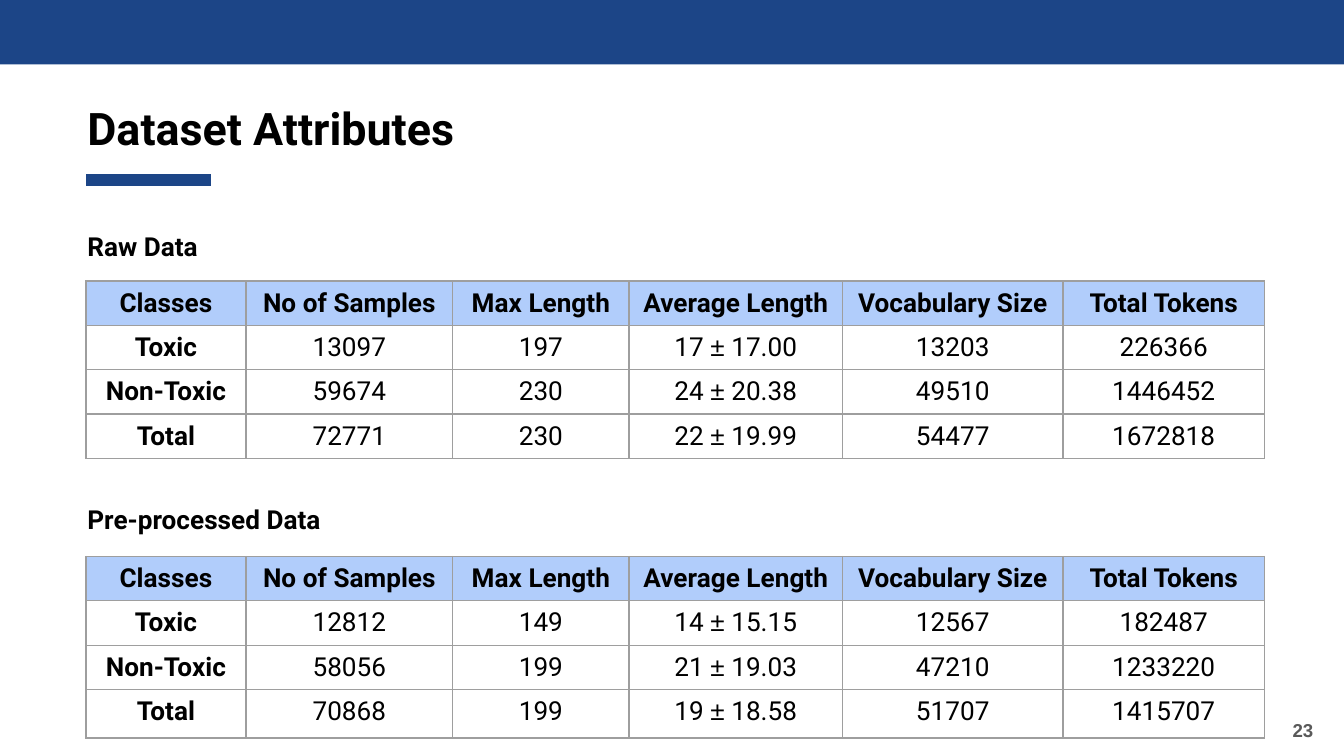
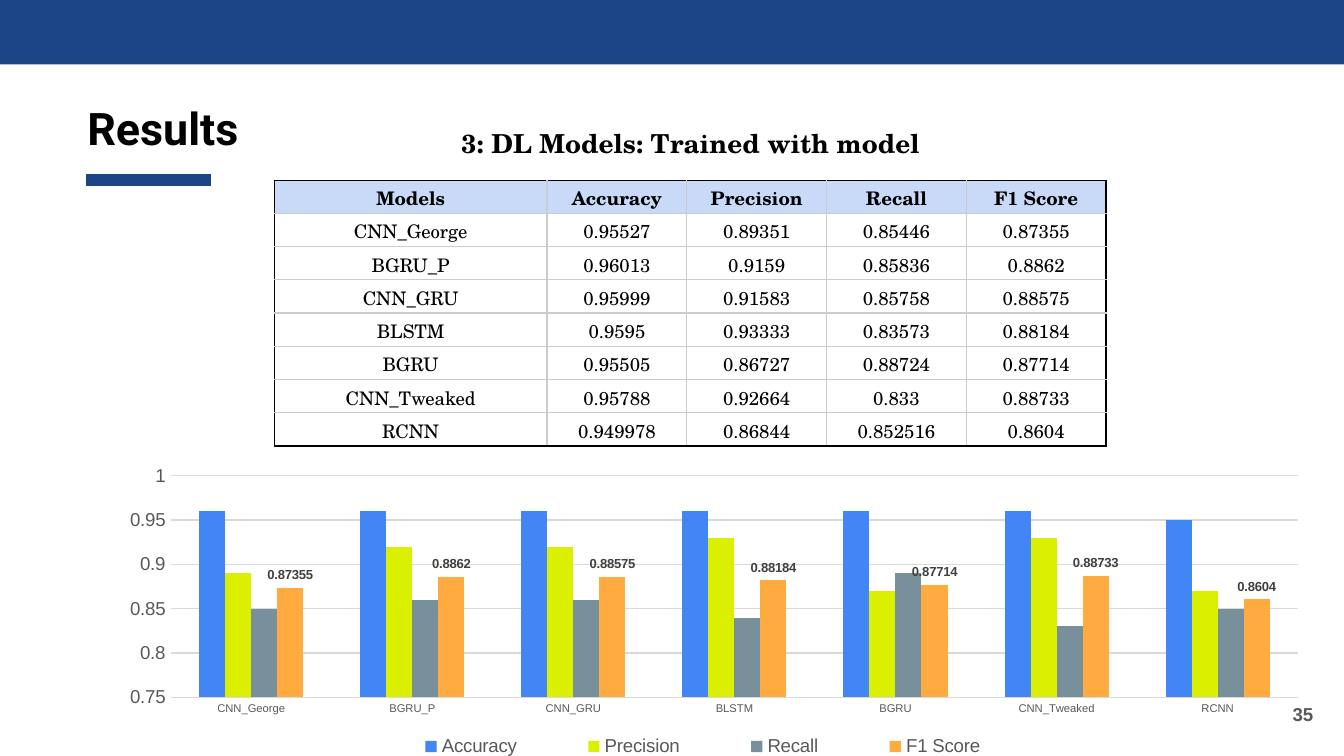
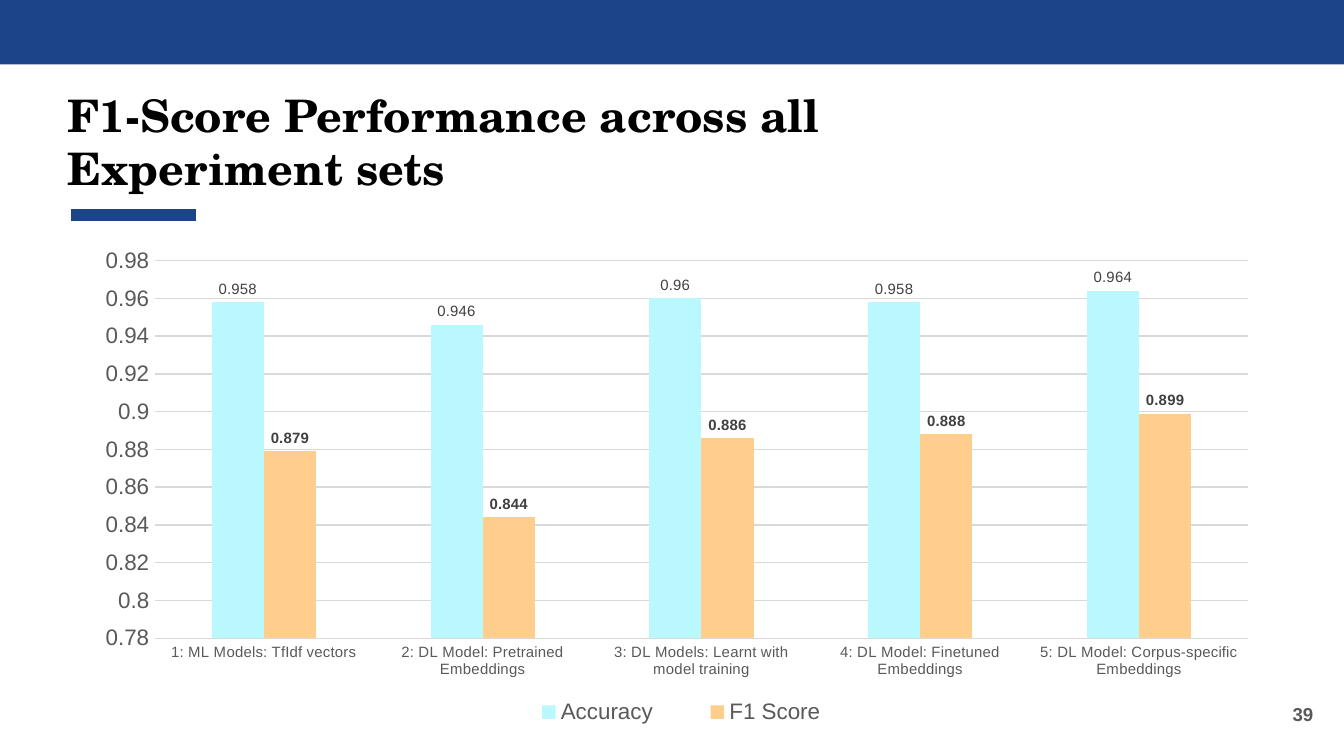
import lxml.etree
import pptx
import pptx.chart.data
import pptx.dml.color
import pptx.enum.chart
import pptx.enum.shapes
import pptx.enum.text
import pptx.oxml.ns
import pptx.util

Inches = pptx.util.Inches
Pt = pptx.util.Pt
qn = pptx.oxml.ns.qn
ALIGN = pptx.enum.text.PP_ALIGN
ANCHOR = pptx.enum.text.MSO_ANCHOR

BLUE, BLACK, GREY, GRID = "1C4587", "000000", "595959", "D9D9D9"
SANS, SERIF, PLAIN = "Roboto", "TeX Gyre Schola", "Arial"

ATTRIBUTES = ["Classes", "No of Samples", "Max Length", "Average Length", "Vocabulary Size", "Total Tokens"]
ATTRIBUTE_WIDTHS = [1.19, 1.54, 1.31, 1.59, 1.64, 1.5]
DATASETS = [
    {
        "heading": "Raw Data", "heading_top": 1.58, "top": 2.09,
        "heights": [0.33, 0.33, 0.33, 0.33],
        "rows": [
            ["Toxic", "13097", "197", "17 ± 17.00", "13203", "226366"],
            ["Non-Toxic", "59674", "230", "24 ± 20.38", "49510", "1446452"],
            ["Total", "72771", "230", "22 ± 19.99", "54477", "1672818"],
        ],
    },
    {
        "heading": "Pre-processed Data", "heading_top": 3.61, "top": 4.14,
        "heights": [0.33, 0.33, 0.33, 0.36],
        "rows": [
            ["Toxic", "12812", "149", "14 ± 15.15", "12567", "182487"],
            ["Non-Toxic", "58056", "199", "21 ± 19.03", "47210", "1233220"],
            ["Total", "70868", "199", "19 ± 18.58", "51707", "1415707"],
        ],
    },
]

METRICS = ["Accuracy", "Precision", "Recall", "F1 Score"]
METRIC_COLOURS = ["4285F4", "DBF000", "78909C", "FFAB40"]
MODELS = [
    ("CNN_George", 0.95527, 0.89351, 0.85446, 0.87355),
    ("BGRU_P", 0.96013, 0.9159, 0.85836, 0.8862),
    ("CNN_GRU", 0.95999, 0.91583, 0.85758, 0.88575),
    ("BLSTM", 0.9595, 0.93333, 0.83573, 0.88184),
    ("BGRU", 0.95505, 0.86727, 0.88724, 0.87714),
    ("CNN_Tweaked", 0.95788, 0.92664, 0.833, 0.88733),
    ("RCNN", 0.949978, 0.86844, 0.852516, 0.8604),
]

EXPERIMENTS = [
    ("1: ML Models: TfIdf vectors", 0.958, 0.879),
    ("2: DL Model: Pretrained Embeddings", 0.946, 0.844),
    ("3: DL Models: Learnt with model training", 0.96, 0.886),
    ("4: DL Model: Finetuned Embeddings", 0.958, 0.888),
    ("5: DL Model: Corpus-specific Embeddings", 0.964, 0.899),
]


def rgb(colour):
    return pptx.dml.color.RGBColor.from_string(colour)


def style_font(font, size, name, colour=BLACK, bold=False):
    font.size = Pt(size)
    font.name = name
    font.bold = bold
    font.color.rgb = rgb(colour)


def place(shape, left, top, width, height):
    shape.left, shape.top = Inches(left), Inches(top)
    shape.width, shape.height = Inches(width), Inches(height)


def set_insets(holder, left, top, right, bottom):
    holder.margin_left, holder.margin_top = Inches(left), Inches(top)
    holder.margin_right, holder.margin_bottom = Inches(right), Inches(bottom)


def write(shape, text, size, name, colour=BLACK, align=ALIGN.LEFT, anchor=ANCHOR.TOP,
          insets=(0.1, 0.1, 0.1, 0.1), spacing=1.0):
    frame = shape.text_frame
    frame.text = text
    frame.word_wrap = True
    frame.auto_size = pptx.enum.text.MSO_AUTO_SIZE.NONE
    frame.vertical_anchor = anchor
    set_insets(frame, *insets)
    paragraph = frame.paragraphs[0]
    paragraph.alignment = align
    paragraph.line_spacing = spacing
    style_font(paragraph.runs[0].font, size, name, colour, True)


def add_text(slide, box, *args, **options):
    write(slide.shapes.add_textbox(*map(Inches, box)), *args, **options)


def start_slide(deck, title, title_box, title_font, rule_left, rule_top, number, number_top):
    slide = deck.slides.add_slide(deck.slide_layouts[5])
    band = slide.shapes.add_shape(pptx.enum.shapes.MSO_SHAPE.RECTANGLE, 0, 0, deck.slide_width, Inches(0.48))
    band.shadow.inherit = False
    band.fill.solid()
    band.fill.fore_color.rgb = rgb(BLUE)
    band.line.fill.background()
    rule = slide.shapes.add_connector(
        pptx.enum.shapes.MSO_CONNECTOR.STRAIGHT,
        Inches(rule_left + 0.93), Inches(rule_top), Inches(rule_left), Inches(rule_top))
    rule.line.color.rgb = rgb(BLUE)
    rule.line.width = Pt(6)
    lxml.etree.SubElement(rule._element.spPr, qn("a:effectLst"))
    place(slide.shapes.title, *title_box)
    write(slide.shapes.title, title, 24, title_font)
    add_text(slide, (9.27, number_top, 0.6, 0.43), str(number), 10, PLAIN, GREY,
             align=ALIGN.RIGHT, anchor=ANCHOR.MIDDLE)
    return slide


def add_border(cell, side, colour, width):
    edge = lxml.etree.SubElement(cell._tc.get_or_add_tcPr(), qn("a:ln" + side), w=str(Pt(width)))
    fill = lxml.etree.SubElement(edge, qn("a:solidFill"))
    lxml.etree.SubElement(fill, qn("a:srgbClr"), val=colour)


def add_grid(slide, left, top, widths, heights, rows, size, font, header_fill, inner, outer,
             insets, anchor, bold_labels):
    table = slide.shapes.add_table(
        len(rows), len(widths), Inches(left), Inches(top), Inches(sum(widths)), Inches(sum(heights))).table
    table.horz_banding = False
    for column, width in zip(table.columns, widths):
        column.width = Inches(width)
    for row, height in zip(table.rows, heights):
        row.height = Inches(height)
    for r, row in enumerate(rows):
        for c, text in enumerate(row):
            cell = table.cell(r, c)
            set_insets(cell, *insets)
            cell.vertical_anchor = anchor
            on_rim = {"L": c == 0, "R": c == len(widths) - 1, "T": r == 0, "B": r == len(rows) - 1}
            for side, rim in on_rim.items():
                add_border(cell, side, outer if rim else inner, 0.75)
            if r == 0:
                cell.fill.solid()
                cell.fill.fore_color.rgb = rgb(header_fill)
            else:
                cell.fill.background()
            paragraph = cell.text_frame.paragraphs[0]
            paragraph.alignment = ALIGN.CENTER
            for part in filter(None, text.partition("±")):
                run = paragraph.add_run()
                run.text = part
                style_font(run.font, size, PLAIN if part == "±" else font,
                           bold=r == 0 or (bold_labels and c == 0))


def manual_layout(chart_box, left, top, width, height, inner=False):
    chart_width, chart_height = chart_box[2:]
    layout = lxml.etree.Element(qn("c:layout"))
    manual = lxml.etree.SubElement(layout, qn("c:manualLayout"))
    settings = [("layoutTarget", "inner")] if inner else []
    settings += [("xMode", "edge"), ("yMode", "edge"),
                 ("x", left / chart_width), ("y", top / chart_height),
                 ("w", width / chart_width), ("h", height / chart_height)]
    for tag, value in settings:
        lxml.etree.SubElement(manual, qn("c:" + tag), val=str(value))
    return layout


def add_columns(slide, box, plot_box, legend_box, records, names, colours, scale,
                label_size, category_size, text_size, labelled):
    data = pptx.chart.data.CategoryChartData()
    categories, *columns = zip(*records)
    data.categories = categories
    for name, values in zip(names, columns):
        data.add_series(name, values if name in labelled else [round(value, 2) for value in values])
    chart = slide.shapes.add_chart(
        pptx.enum.chart.XL_CHART_TYPE.COLUMN_CLUSTERED, *map(Inches, box), data).chart
    chart.has_title = False
    style_font(chart.font, 10, PLAIN)
    chart.has_legend = True
    chart.legend.position = pptx.enum.chart.XL_LEGEND_POSITION.BOTTOM
    chart.legend.include_in_layout = False
    style_font(chart.legend.font, text_size, PLAIN, GREY)

    for axis, size in ((chart.category_axis, category_size), (chart.value_axis, text_size)):
        axis.major_tick_mark = axis.minor_tick_mark = pptx.enum.chart.XL_TICK_MARK.NONE
        style_font(axis.tick_labels.font, size, PLAIN, GREY)
    values_axis = chart.value_axis
    values_axis.minimum_scale, values_axis.maximum_scale, values_axis.major_unit = scale
    values_axis.tick_labels.number_format = "General"
    values_axis.tick_labels.number_format_is_linked = False
    values_axis.format.line.fill.background()
    for line in (chart.category_axis.format.line, values_axis.major_gridlines.format.line):
        line.color.rgb = rgb(GRID)
        line.width = Pt(0.75)

    plot = chart.plots[0]
    plot.gap_width = 219
    plot.overlap = 0
    plot.vary_by_categories = False
    for series, colour in zip(plot.series, colours):
        series.format.fill.solid()
        series.format.fill.fore_color.rgb = rgb(colour)
        series.invert_if_negative = False
        if series.name in labelled:
            labels = series.data_labels
            labels.show_value = True
            labels.position = pptx.enum.chart.XL_LABEL_POSITION.OUTSIDE_END
            style_font(labels.font, label_size, PLAIN, "404040", series.name == "F1 Score")

    plot_area = chart._chartSpace.chart.plotArea
    for layout in plot_area.findall(qn("c:layout")):
        plot_area.remove(layout)
    plot_area.insert(0, manual_layout(box, *plot_box, inner=True))
    legend = chart.legend._element
    for layout in legend.findall(qn("c:layout")):
        legend.remove(layout)
    legend.find(qn("c:legendPos")).addnext(manual_layout(box, *legend_box))


def build_attributes(deck):
    slide = start_slide(deck, "Dataset Attributes", (0.55, 0.65, 7.31, 0.57), SANS, 0.64, 1.34, 23, 5.22)
    for dataset in DATASETS:
        add_text(slide, (0.4, dataset["heading_top"], 2.96, 0.41), dataset["heading"], 14, SANS,
                 insets=(0.25, 0.1, 0.1, 0.1), spacing=1.15)
        add_grid(slide, 0.64, dataset["top"], ATTRIBUTE_WIDTHS, dataset["heights"],
                 [ATTRIBUTES] + dataset["rows"], 14, SANS, "B1CDFB", "9E9E9E", "9E9E9E",
                 (0.1, 0.05, 0.1, 0.05), ANCHOR.TOP, True)


def build_results(deck):
    slide = start_slide(deck, "Results", (0.55, 0.65, 1.58, 0.57), SANS, 0.64, 1.34, 35, 5.1)
    add_text(slide, (2.83, 0.9, 4.62, 0.34), "3: DL Models: Trained with model", 14, SERIF,
             align=ALIGN.CENTER, insets=(0.1, 0.05, 0.1, 0.05))
    rows = [["Models"] + METRICS] + [[str(value) for value in model] for model in MODELS]
    add_grid(slide, 2.04, 1.34, [2.03] + [1.04] * len(METRICS), [1.98 / len(rows)] * len(rows), rows,
             10, SERIF, "C9DAF8", "CCCCCC", BLACK, (0.03, 0.01, 0.03, 0.01), ANCHOR.BOTTOM, False)
    add_columns(slide, (0.6, 3.01, 9.08, 3.32), (0.67, 0.53, 8.39, 1.65), (2.08, 2.43, 5.1, 0.23),
                MODELS, METRICS, METRIC_COLOURS, (0.75, 1, 0.05), 7, 6, 10, ["F1 Score"])


def build_performance(deck):
    slide = start_slide(deck, "F1-Score Performance across all Experiment sets", (0.4, 0.55, 5.84, 0.57),
                        SERIF, 0.53, 1.6, 39, 5.1)
    names = ["Accuracy", "F1 Score"]
    add_columns(slide, (0.61, 1.78, 8.86, 3.67), (0.54, 0.16, 8.14, 2.81), (3.05, 3.38, 2.82, 0.28),
                EXPERIMENTS, names, ["BAF8FF", "FFCD8C"], (0.78, 0.98, 0.02), 8, 8, 12, names)


def main():
    deck = pptx.Presentation()
    deck.slide_width = Inches(10)
    deck.slide_height = deck.slide_width * 9 // 16
    build_attributes(deck)
    build_results(deck)
    build_performance(deck)
    deck.save("out.pptx")


if __name__ == "__main__":
    main()
